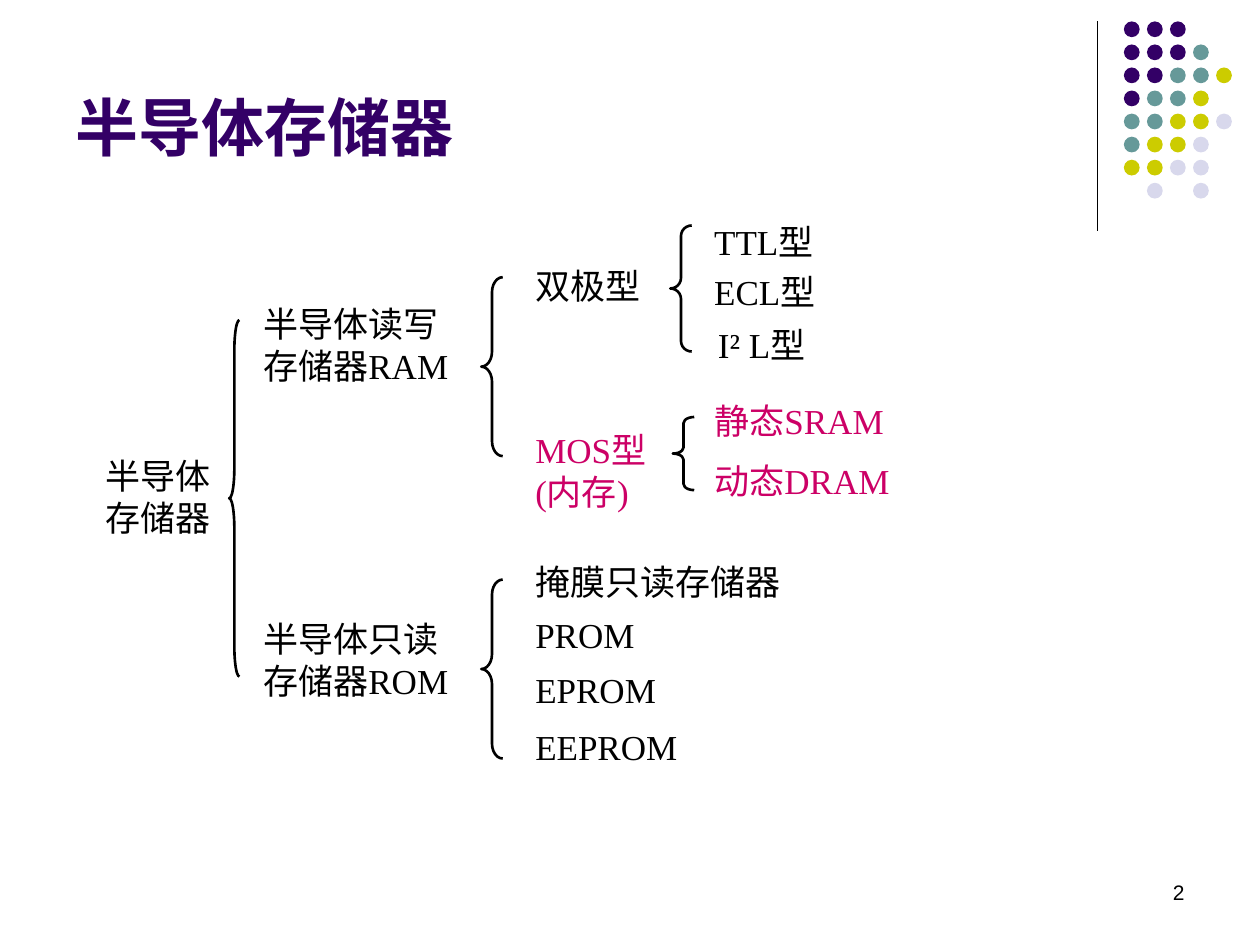
from lxml.etree import SubElement
from pptx import Presentation
from pptx.dml.color import RGBColor
from pptx.enum.shapes import MSO_CONNECTOR, MSO_SHAPE
from pptx.enum.text import MSO_ANCHOR, PP_ALIGN
from pptx.oxml.ns import qn
from pptx.util import Inches, Pt

COLORS = {"black": "000000", "purple": "330066", "teal": "669999",
          "olive": "CCCC00", "lilac": "D8D8EC", "pink": "CC0066"}
DOT_COLORS = {"P": "purple", "T": "teal", "O": "olive", "L": "lilac"}
DOT_ROWS = ["PPP", "PPPT", "PPTTO", "PTTO", "TTOOL", "TOOL", "OOLL", " L L"]
DOT_LEFT, DOT_TOP, DOT_PITCH, DOT_SIZE = 8.92, 0.17, 0.183, 0.125

TITLE = "半导体存储器"
PAGE_NUMBER = "2"
ONE_LINE, TWO_LINES = 0.44, 0.77

LABELS = [
    ("半导体存储器", 0.74, 3.56, 1.08, TWO_LINES, "black"),
    ("半导体读写存储器RAM", 1.99, 2.35, 1.75, TWO_LINES, "black"),
    ("半导体只读存储器ROM", 1.99, 4.85, 1.83, TWO_LINES, "black"),
    ("掩膜只读存储器", 4.15, 4.4, 2.5, ONE_LINE, "black"),
    ("PROM", 4.15, 4.82, 2.5, ONE_LINE, "black"),
    ("EPROM", 4.15, 5.26, 2.5, ONE_LINE, "black"),
    ("EEPROM", 4.15, 5.71, 2.5, ONE_LINE, "black"),
    ("双极型", 4.15, 2.05, 1.17, ONE_LINE, "black"),
    ("MOS型\v(内存)", 4.15, 3.35, 1.17, TWO_LINES, "pink"),
    ("TTL型", 5.57, 1.7, 1.33, ONE_LINE, "black"),
    ("ECL型", 5.57, 2.1, 1.33, ONE_LINE, "black"),
    ("I² L型", 5.6, 2.52, 1.33, ONE_LINE, "black"),
    ("静态SRAM", 5.57, 3.12, 1.75, ONE_LINE, "pink"),
    ("动态DRAM", 5.57, 3.6, 1.75, ONE_LINE, "pink"),
]
BRACES = [
    (1.82, 2.54, 0.08, 2.83),
    (3.82, 4.6, 0.17, 1.42),
    (3.82, 2.2, 0.17, 1.42),
    (5.32, 1.79, 0.17, 1.0),
    (5.34, 3.31, 0.17, 0.58),
]


def rgb(name):
    return RGBColor.from_string(COLORS[name])


def add_text(s, text, box, size, color, font="Times New Roman", bold=False,
             anchor=MSO_ANCHOR.TOP, align=PP_ALIGN.LEFT):
    tf = s.shapes.add_textbox(*map(Inches, box)).text_frame
    tf.word_wrap = True
    tf.vertical_anchor = anchor
    p = tf.paragraphs[0]
    p.text = text
    p.alignment = align
    for r in p.runs:
        r.font.name = font
        r.font.size = Pt(size)
        r.font.bold = bold
        r.font.color.rgb = rgb(color)


def add_dots(s):
    for row, codes in enumerate(DOT_ROWS):
        for col, code in enumerate(codes):
            if code == " ":
                continue
            box = (DOT_LEFT + col * DOT_PITCH, DOT_TOP + row * DOT_PITCH,
                   DOT_SIZE, DOT_SIZE)
            sp = s.shapes.add_shape(MSO_SHAPE.OVAL, *map(Inches, box))
            sp.shadow.inherit = False
            sp.fill.solid()
            sp.fill.fore_color.rgb = rgb(DOT_COLORS[code])
            sp.line.fill.background()


def add_brace(s, box):
    sp = s.shapes.add_shape(MSO_SHAPE.LEFT_BRACE, *map(Inches, box))
    sp.shadow.inherit = False
    sp.adjustments[0] = box[3] / 12 / box[2]
    sp.fill.background()
    sp.line.color.rgb = rgb("black")
    sp.line.width = Pt(1.5)


def main():
    prs = Presentation()
    prs.slide_width, prs.slide_height = Inches(10), Inches(7.5)
    s = prs.slides.add_slide(prs.slide_layouts[6])

    rule = s.shapes.add_connector(MSO_CONNECTOR.STRAIGHT, Inches(8.71),
                                  Inches(0.17), Inches(8.71), Inches(1.83))
    rule.line.color.rgb = rgb("black")
    rule.line.width = Pt(0.75)
    SubElement(rule._element.spPr, qn("a:effectLst"))
    add_dots(s)

    add_text(s, PAGE_NUMBER, (7.17, 6.83, 2.33, 0.5), 12, "black", "Arial",
             anchor=MSO_ANCHOR.MIDDLE, align=PP_ALIGN.RIGHT)
    add_text(s, TITLE, (0.5, 0.29, 8.25, 1.42), 36, "purple", "Arial",
             bold=True, anchor=MSO_ANCHOR.MIDDLE)
    for text, *box, color in LABELS:
        add_text(s, text, box, 20, color)
    for box in BRACES:
        add_brace(s, box)

    prs.save("out.pptx")


if __name__ == "__main__":
    main()
